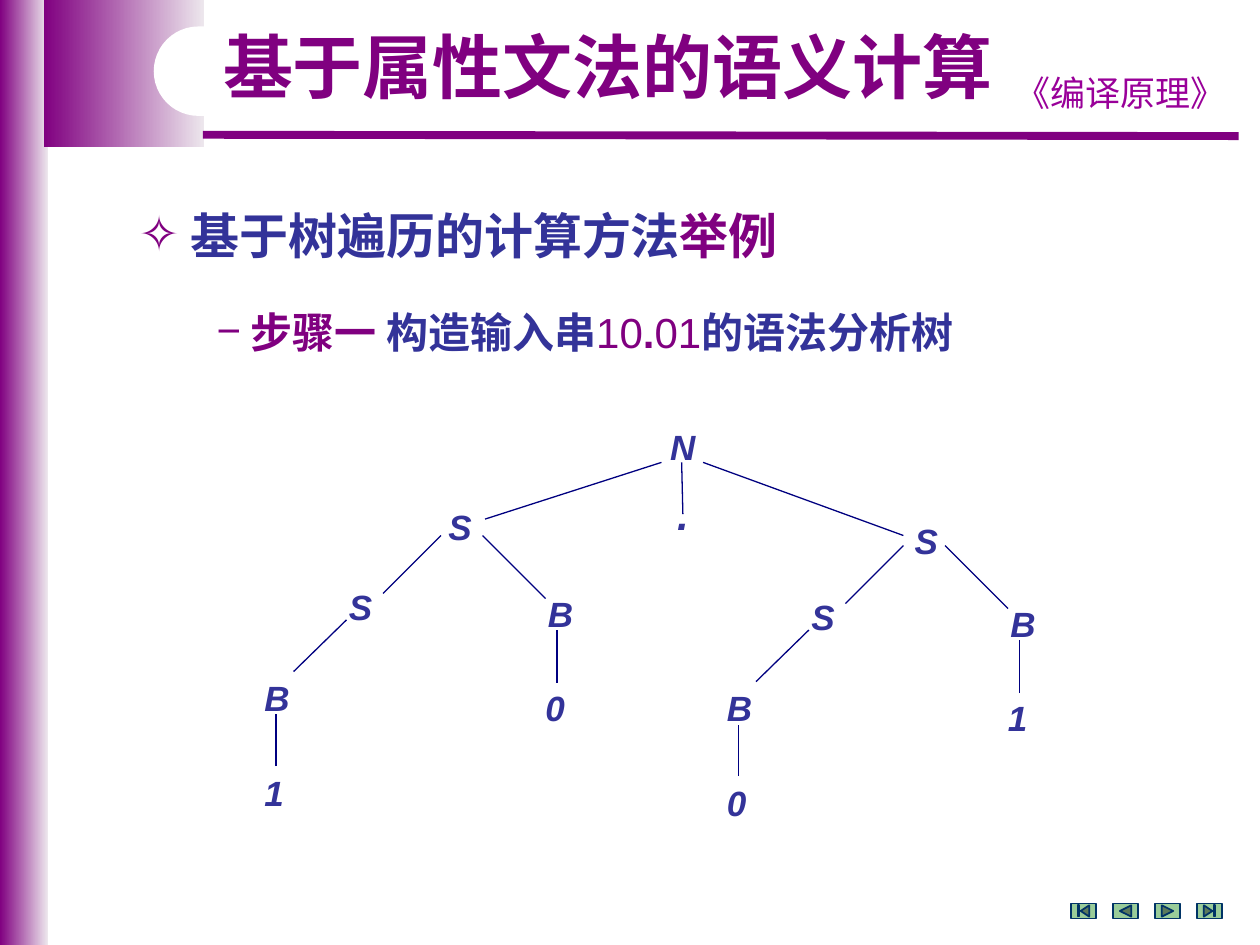
from lxml import etree
from pptx import Presentation
from pptx.dml.color import RGBColor
from pptx.enum.shapes import MSO_CONNECTOR, MSO_SHAPE
from pptx.enum.text import MSO_ANCHOR, MSO_AUTO_SIZE, PP_ALIGN
from pptx.oxml.ns import qn
from pptx.util import Inches, Pt

PURPLE = RGBColor(0x80, 0x00, 0x80)
PALE = RGBColor(0xED, 0xE7, 0xED)
MAGENTA = RGBColor(0x99, 0x00, 0x99)
INDIGO = RGBColor(0x33, 0x33, 0x99)
NAVY = RGBColor(0x00, 0x00, 0x80)
WHITE = RGBColor(0xFF, 0xFF, 0xFF)
GREEN = RGBColor(0x99, 0xCC, 0x99)
TEAL = RGBColor(0x00, 0x33, 0x66)
CJK = "Noto Sans CJK SC"
TIMES = "Times New Roman"


def add_run(p, text, size=20, font="Arial", color=INDIGO, bold=True, italic=False):
    r = p.add_run()
    r.text = text
    r.font.size = Pt(size)
    r.font.name = font
    r.font.bold = bold
    r.font.italic = italic
    r.font.color.rgb = color
    etree.SubElement(r.font._element, qn("a:ea")).set("typeface", CJK)


def place(sp, x, y, w, h):
    sp.left, sp.top, sp.width, sp.height = (Inches(v) for v in (x, y, w, h))


def add_label(s, text, x, y, w=0.42, h=0.43, align=PP_ALIGN.LEFT, **fmt):
    tf = s.shapes.add_textbox(Inches(x), Inches(y), Inches(w), Inches(h)).text_frame
    tf.word_wrap = True
    p = tf.paragraphs[0]
    p.alignment = align
    add_run(p, text, **fmt)


def add_line(s, x1, y1, x2, y2, color=NAVY, width=0.75):
    c = s.shapes.add_connector(
        MSO_CONNECTOR.STRAIGHT, Inches(x1), Inches(y1), Inches(x2), Inches(y2))
    c.line.color.rgb = color
    c.line.width = Pt(width)
    etree.SubElement(c._element.spPr, qn("a:effectLst"))


def add_box(s, kind, x, y, w, h, fill=None, line=None):
    sp = s.shapes.add_shape(kind, Inches(x), Inches(y), Inches(w), Inches(h))
    sp.shadow.inherit = False
    if fill is None:
        sp.fill.gradient()
        sp.fill.gradient_angle = 0
        for stop, color in zip(sp.fill.gradient_stops, (PURPLE, PALE)):
            stop.color.rgb = color
    else:
        sp.fill.solid()
        sp.fill.fore_color.rgb = fill
    if line is None:
        sp.line.fill.background()
    else:
        sp.line.color.rgb = line
        sp.line.width = Pt(1)
    return sp


def format_placeholder(sp, x, y, w, h):
    place(sp, x, y, w, h)
    tf = sp.text_frame
    tf.word_wrap = True
    tf.auto_size = MSO_AUTO_SIZE.NONE
    tf.vertical_anchor = MSO_ANCHOR.MIDDLE
    p = tf.paragraphs[0]
    p.alignment = PP_ALIGN.LEFT
    p.space_before = Pt(0)
    return p


def draw_frame(s):
    add_box(s, MSO_SHAPE.RECTANGLE, 0, 0, 0.38, 7.5)
    add_box(s, MSO_SHAPE.RECTANGLE, 0.35, 0, 1.27, 1.17)
    add_line(s, 1.61, 1.07, 9.83, 1.08, PURPLE, 4.5)
    add_label(s, "《编译原理》", 7.91, 0.52, 1.97, align=PP_ALIGN.CENTER,
              font="Comic Neue", color=MAGENTA, bold=False)
    notch = add_box(s, MSO_SHAPE.ROUNDED_RECTANGLE, 1.22, 0.21, 3.62, 0.71, WHITE)
    notch.adjustments[0] = 0.5


def draw_title(s, x, y, w, h):
    title = s.shapes.title
    p = format_placeholder(title, x, y, w, h)
    p.line_spacing = 0.9
    add_run(p, "基于属性文法的语义计算", size=40, color=PURPLE)
    s.shapes._spTree.append(title._element)


def draw_bullet(sp, x, y, w, h, bullet, size, runs):
    p = format_placeholder(sp, x, y, w, h)
    pPr = p._p.get_or_add_pPr()
    pPr.set("marL", "0")
    pPr.set("indent", "0")
    etree.SubElement(pPr, qn("a:buChar")).set("char", bullet)
    for text, font, color, bold in runs:
        add_run(p, text, size=size, font=font, color=color, bold=bold)


def draw_subtree(s, x, y, leaves):
    first, second = leaves
    nodes = [("S", 0.67, 0.64), ("B", 2.25, 0.69), ("B", 0, 1.36),
             (first, 0, 2.11), (second, 2.23, 1.44)]
    edges = [(2.33, 0.79, 1.83, 0.29), (1.04, 0.75, 1.5, 0.29),
             (0.33, 1.37, 0.75, 0.96), (2.42, 1.46, 2.42, 1.04),
             (0.19, 2.12, 0.19, 1.71)]
    for text, dx, dy in nodes:
        add_label(s, text, x + dx, y + dy, italic=True)
    for x1, y1, x2, y2 in edges:
        add_line(s, x + x1, y + y1, x + x2, y + y2)


def draw_tree(s, x, y):
    add_label(s, "N", x + 3.22, y, 0.45, italic=True)
    add_label(s, "S", x + 1.46, y + 0.63, 0.38, italic=True)
    add_label(s, "S", x + 5.16, y + 0.74, 0.38, italic=True)
    add_label(s, ".", x + 3.25, y + 0.5, 0.34, 0.5, PP_ALIGN.CENTER, size=24, italic=True)
    add_line(s, x + 3.25, y + 0.34, x + 1.85, y + 0.79)
    add_line(s, x + 3.41, y + 0.34, x + 3.42, y + 0.75)
    add_line(s, x + 3.58, y + 0.34, x + 5.17, y + 0.92)
    draw_subtree(s, x, y + 0.63, "10")
    draw_subtree(s, x + 3.67, y + 0.71, "01")


def draw_navigation(s, x, y):
    kinds = [MSO_SHAPE.ACTION_BUTTON_BEGINNING, MSO_SHAPE.ACTION_BUTTON_BACK_OR_PREVIOUS,
             MSO_SHAPE.ACTION_BUTTON_FORWARD_OR_NEXT, MSO_SHAPE.ACTION_BUTTON_END]
    for i, kind in enumerate(kinds):
        add_box(s, kind, x + i / 3, y, 0.2, 0.12, GREEN, TEAL)


def main():
    prs = Presentation()
    prs.slide_width, prs.slide_height = Inches(10), Inches(7.5)
    s = prs.slides.add_slide(prs.slide_layouts[3])
    draw_frame(s)
    draw_title(s, 1.67, 0.21, 6.39, 0.7)
    draw_bullet(s.placeholders[1], 1, 1.58, 8.83, 0.57, "✧", 28, [
        (" ", CJK, PURPLE, True),
        ("基于", CJK, INDIGO, True),
        ("树遍历的计算方法", TIMES, INDIGO, True),
        ("举例", CJK, PURPLE, True)])
    draw_bullet(s.placeholders[2], 1.62, 2.38, 7.88, 0.5, "−", 24, [
        (" ", CJK, PURPLE, True),
        ("步骤一 ", TIMES, PURPLE, True),
        ("构造输入串", TIMES, INDIGO, True),
        ("10", "Arial", PURPLE, False),
        (".", "Arial", PURPLE, True),
        ("01", "Arial", PURPLE, False),
        ("的语法分析树", TIMES, INDIGO, True)])
    draw_tree(s, 2, 3.33)
    draw_navigation(s, 8.5, 7.17)
    prs.save("out.pptx")


if __name__ == "__main__":
    main()
